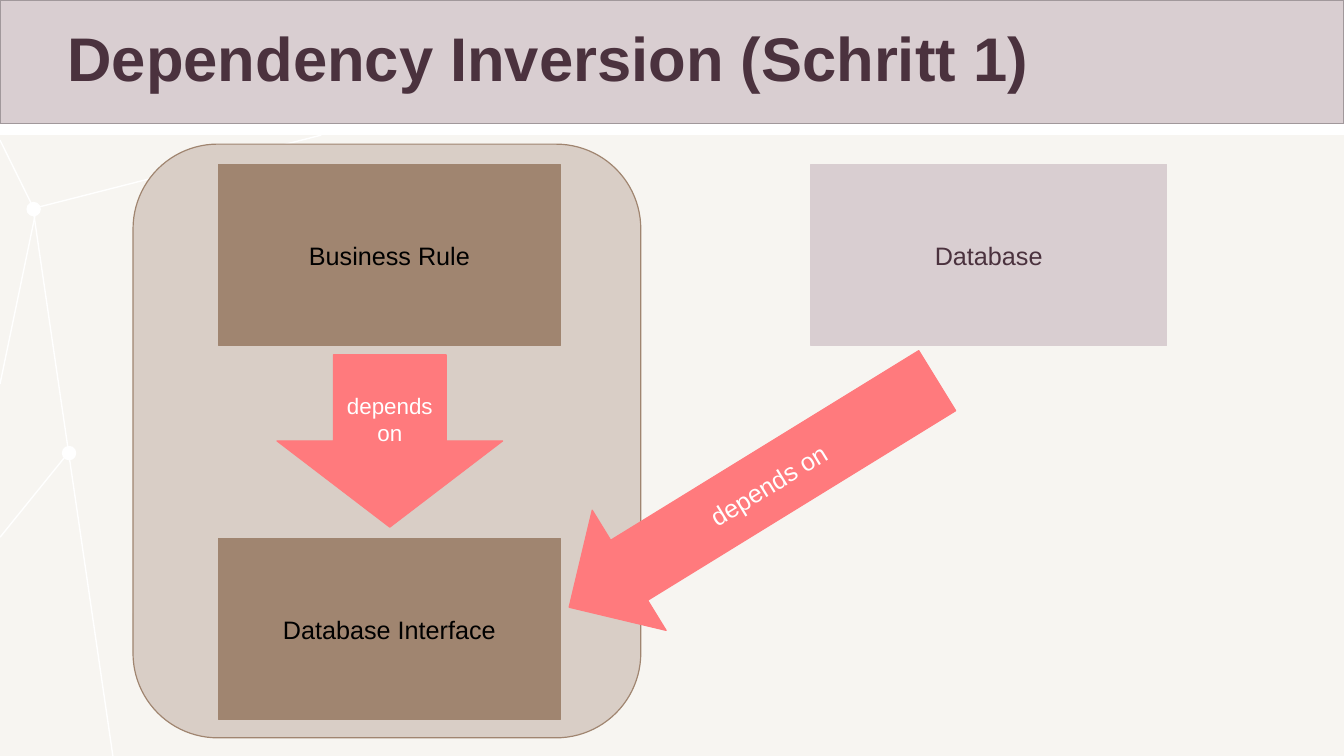
from lxml import etree
from pptx import Presentation
from pptx.dml.color import RGBColor
from pptx.enum.shapes import MSO_CONNECTOR, MSO_SHAPE
from pptx.enum.text import MSO_ANCHOR, PP_ALIGN
from pptx.oxml.ns import qn
from pptx.util import Inches, Pt

RECT, ROUND, OVAL = MSO_SHAPE.RECTANGLE, MSO_SHAPE.ROUNDED_RECTANGLE, MSO_SHAPE.OVAL
DOWN, LEFT = MSO_SHAPE.DOWN_ARROW, MSO_SHAPE.LEFT_ARROW
STRAIGHT = MSO_CONNECTOR.STRAIGHT
MIDDLE = MSO_ANCHOR.MIDDLE
CENTER, START = PP_ALIGN.CENTER, PP_ALIGN.LEFT

WHITE = RGBColor(0xFF, 0xFF, 0xFF)
BLACK = RGBColor(0x00, 0x00, 0x00)
CREAM = RGBColor(0xF7, 0xF5, 0xF1)
SAND = RGBColor(0xD9, 0xCE, 0xC6)
BROWN = RGBColor(0xA0, 0x85, 0x70)
MAUVE = RGBColor(0xD9, 0xCE, 0xD1)
GREY = RGBColor(0xA1, 0x98, 0x9B)
PLUM = RGBColor(0x4B, 0x32, 0x3E)
CORAL = RGBColor(0xFF, 0x7A, 0x7D)


class Board:
    """Draws on one slide; all lengths are percent of its width or height."""

    font = "Arial"
    edge = 0.85

    def __init__(self, deck):
        self.wide, self.high = deck.slide_width, deck.slide_height
        self.slide = deck.slides.add_slide(deck.slide_layouts[5])
        self.shapes = self.slide.shapes

    def spot(self, x, y):
        return round(self.wide * x / 100), round(self.high * y / 100)

    def words(self, shape, text, size, color, align=CENTER, bold=False):
        frame = shape.text_frame
        frame.word_wrap = True
        frame.vertical_anchor = MIDDLE
        para = frame.paragraphs[0]
        para.alignment = align
        run = para.add_run()
        run.text = text
        font = run.font
        font.name, font.size, font.bold = self.font, Pt(size), bold
        font.color.rgb = color
        return para

    def shape(self, kind, x, y, w, h, fill, line=None, edge=edge, turn=0):
        item = self.shapes.add_shape(kind, *self.spot(x, y), *self.spot(w, h))
        item.shadow.inherit = False
        item.fill.solid()
        item.fill.fore_color.rgb = fill
        item.line.color.rgb = line or fill
        item.line.width = Pt(edge)
        item.rotation = turn
        return item

    def label(self, kind, area, fill, text, size, color, turn=0):
        item = self.shape(kind, *area, fill, turn=turn)
        self.words(item, text, size, color)

    def line(self, start, end):
        item = self.shapes.add_connector(STRAIGHT, *self.spot(*start), *self.spot(*end))
        item.line.color.rgb = WHITE
        item.line.width = Pt(1)
        etree.SubElement(item.element.spPr, qn("a:effectLst"))

    def title(self, x, y, w, h, text):
        item = self.shapes.title
        item.left, item.top = self.spot(x, y)
        item.width, item.height = self.spot(w, h)
        self.words(item, text, 44, PLUM, START, True).line_spacing = 0.9
        # Lift the title above the header band
        item.element.getparent().append(item.element)


def main():
    deck = Presentation()
    deck.slide_width, deck.slide_height = Inches(13.34), Inches(7.5)
    board = Board(deck)

    # Backdrop with a net of dots and lines
    ground = board.shape(RECT, 0, 17.87, 100, 82.13, CREAM)
    ground.line.fill.background()
    for x, y in ((2.02, 26.8), (4.65, 59.07)):
        board.shape(OVAL, x, y, 0.97, 1.73, WHITE, edge=1)
    for start, end in (
        ((2.47, 27.73), (8.4, 100)),
        ((2.55, 27.73), (0, 18.53)),
        ((2.7, 27.47), (23.91, 17.87)),
        ((5.4, 59.2), (0, 71.07)),
        ((2.7, 27.73), (0, 50.8)),
    ):
        board.line(start, end)

    # Component and its boxes
    board.shape(ROUND, 9.9, 19.07, 37.78, 78.53, SAND, BROWN)
    top, low, tall = 21.73, 71.2, 24
    for x, y, w, fill, text, color in (
        (16.27, top, 25.41, BROWN, "Business Rule", BLACK),
        (60.34, top, 26.46, MAUVE, "Database", PLUM),
        (16.27, low, 25.41, BROWN, "Database Interface", BLACK),
    ):
        board.label(RECT, (x, y, w, tall), fill, text, 18, color)

    # Dependency arrows
    for kind, area, size, turn in (
        (DOWN, (20.61, 46.93, 16.79, 22.8), 16, 0),
        (LEFT, (39.96, 56, 32.16, 18.67), 18, 328.4),
    ):
        board.label(kind, area, CORAL, "depends on", size, WHITE, turn)

    # Header
    board.shape(RECT, 0, 0, 100, 16.4, MAUVE, GREY)
    board.title(4.27, 0, 86.21, 16.4, "Dependency Inversion (Schritt 1)")

    deck.save("out.pptx")


if __name__ == "__main__":
    main()
